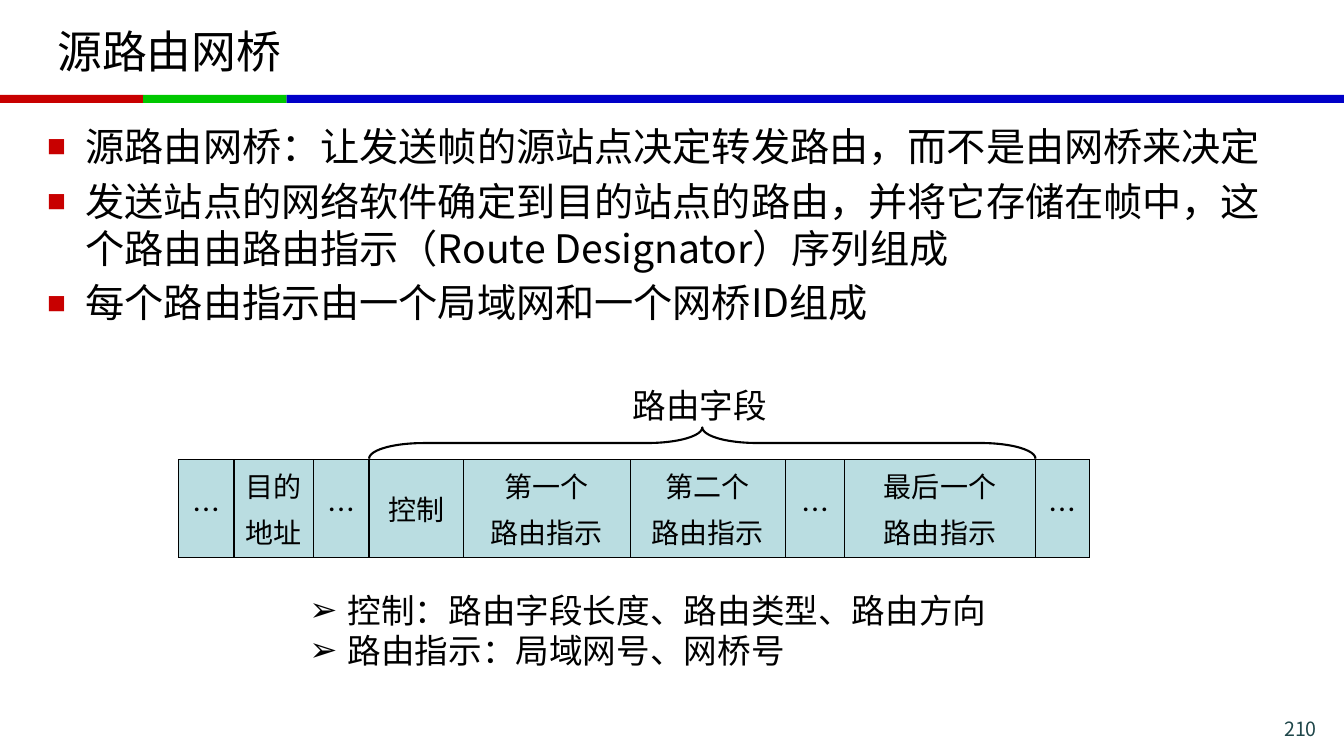
import pptx
import pptx.dml.color
import pptx.enum.shapes
import pptx.enum.text
import pptx.oxml
import pptx.oxml.ns
import pptx.util

WIDTH, HEIGHT = 13.33, 7.5
FONT = "Noto Sans CJK SC"
ALIGN = pptx.enum.text.PP_ALIGN
ANCHOR = pptx.enum.text.MSO_ANCHOR
SHAPE = pptx.enum.shapes.MSO_SHAPE
POINTS = [
    "源路由网桥：让发送帧的源站点决定转发路由，而不是由网桥来决定",
    "发送站点的网络软件确定到目的站点的路由，并将它存储在帧中，这个路由由路由指示（Route Designator）序列组成",
    "每个路由指示由一个局域网和一个网桥ID组成",
]
NOTES = ["控制：路由字段长度、路由类型、路由方向", "路由指示：局域网号、网桥号"]
FIELDS = [
    (0.55, ["…"]), (0.79, ["目的", "地址"]), (0.55, ["…"]), (0.94, ["控制"]),
    (1.65, ["第一个", "路由指示"]), (1.54, ["第二个", "路由指示"]), (0.59, ["…"]),
    (1.89, ["最后一个", "路由指示"]), (0.54, ["…"]),
]
ROUTE_START, ROUTE_END = 3, 8


def colour(value):
    """Turn a hex string into a colour."""
    return pptx.dml.color.RGBColor.from_string(value)


def inches(*lengths):
    """Turn numbers into lengths in inches."""
    return [pptx.util.Inches(length) for length in lengths]


def add_xml(parent, markup):
    """Append a drawing element to a parent."""
    head, rest = markup.split(" ", 1)
    space = pptx.oxml.ns.nsdecls("a")
    parent.append(pptx.oxml.parse_xml(f"{head} {space} {rest}"))


def add_bullet(para, mark, tint, share):
    """Give a paragraph a hanging bullet."""
    properties = para._p.get_or_add_pPr()
    indent = pptx.util.Inches(0.38)
    properties.set("marL", str(indent))
    properties.set("indent", str(-indent))
    add_xml(properties, f'<a:buClr ><a:srgbClr val="{tint}"/></a:buClr>')
    add_xml(properties, f'<a:buSzPct val="{share * 1000}"/>')
    add_xml(properties, '<a:buFont typeface="Arial"/>')
    add_xml(properties, f'<a:buChar char="{mark}"/>')


def write(frame, lines, size, tint="000000", align=ALIGN.LEFT, gap=0, bullet=None):
    """Write one paragraph per line into a text frame."""
    for index, line in enumerate(lines):
        para = frame.paragraphs[0] if index == 0 else frame.add_paragraph()
        para.alignment = align
        para.space_before = pptx.util.Pt(size * gap if index else 0)
        if bullet:
            add_bullet(para, *bullet)
        span = para.add_run()
        span.text = line
        values = {"size": pptx.util.Pt(size), "name": FONT}
        for name, value in values.items():
            setattr(span.font, name, value)
        span.font.color.rgb = colour(tint)
        add_xml(span._r.get_or_add_rPr(), f'<a:ea typeface="{FONT}"/>')


def add_text(page, box, lines, size, anchor=ANCHOR.TOP, wrap=True, **style):
    """Place a text box."""
    frame = page.shapes.add_textbox(*inches(*box)).text_frame
    values = {"word_wrap": wrap, "vertical_anchor": anchor}
    for name, value in values.items():
        setattr(frame, name, value)
    write(frame, lines, size, **style)


def add_stripe(page, box):
    """Draw the three-coloured rule under the title."""
    left, top, width, height = box
    band = 1.42
    for start, length, tint in [
        (2 * band, width - 2 * band, "0000C8"), (0, band, "C80000"), (band, band, "00C800"),
    ]:
        bar = page.shapes.add_shape(SHAPE.RECTANGLE, *inches(left + start, top, length, height))
        bar.shadow.inherit = False
        bar.fill.solid()
        bar.fill.fore_color.rgb = colour(tint)
        bar.line.fill.background()


def add_frame_table(page, box):
    """Place the one-row table of frame fields."""
    table = page.shapes.add_table(1, len(FIELDS), *inches(*box)).table
    table.first_row = table.horz_banding = False
    for column, (width, lines) in enumerate(FIELDS):
        table.columns[column].width = pptx.util.Inches(width)
        cell = table.cell(0, column)
        cell.vertical_anchor = ANCHOR.MIDDLE
        write(cell.text_frame, lines, 20, align=ALIGN.CENTER, gap=0.2)
        properties = cell._tc.get_or_add_tcPr()
        for side in "LRTB":
            add_xml(properties, f'<a:ln{side} w="12700"><a:solidFill><a:srgbClr val="000000"/>'
                                f'</a:solidFill></a:ln{side}>')
        cell.fill.solid()
        cell.fill.fore_color.rgb = colour("BADDE1")


def add_route_brace(page, box):
    """Draw the brace over the routing fields, with its label above."""
    left, top, width, height = box
    middle = left + width / 2
    brace = page.shapes.add_shape(
        SHAPE.LEFT_BRACE,
        *inches(middle - height / 2, top + height / 2 - width / 2, height, width))
    brace.rotation = 90
    brace.adjustments[0] = 1.754
    brace.shadow.inherit = False
    brace.fill.background()
    brace.line.color.rgb = colour("000000")
    brace.line.width = pptx.util.Pt(1.5)
    add_text(page, (middle - 0.79, top - 0.47, 1.53, 0.5), ["路由字段"], 24,
             wrap=False, align=ALIGN.CENTER)


def add_frame_diagram(page, box):
    """Place the frame table with the brace above it."""
    left, top = box[:2]
    widths = [field[0] for field in FIELDS]
    add_frame_table(page, box)
    start = left + sum(widths[:ROUTE_START])
    add_route_brace(page, (start, top - 0.32, sum(widths[ROUTE_START:ROUTE_END]), 0.31))


def build_page(page):
    """Place every region of the slide."""
    add_stripe(page, (0, 0.94, WIDTH, 0.08))
    add_text(page, (0.47, 0.08, 12.39, 0.84), ["源路由网桥"], 32, anchor=ANCHOR.MIDDLE)
    add_text(page, (0.37, 1.16, 12.51, 2.35), POINTS, 28, gap=0.2, bullet=("■", "C80000", 80))
    add_text(page, (11.86, 7.06, 1.3, 0.28), ["210"], 14, tint="1E4649", align=ALIGN.RIGHT)
    add_frame_diagram(page, (1.77, 4.56, 9.04, 0.97))
    add_text(page, (2.97, 5.8, 7.11, 0.85), NOTES, 24, bullet=("➢", "000000", 100))


def main():
    """Build and save the deck."""
    deck = pptx.Presentation()
    deck.slide_width, deck.slide_height = inches(WIDTH, HEIGHT)
    build_page(deck.slides.add_slide(deck.slide_layouts[6]))
    deck.save("out.pptx")


if __name__ == "__main__":
    main()
